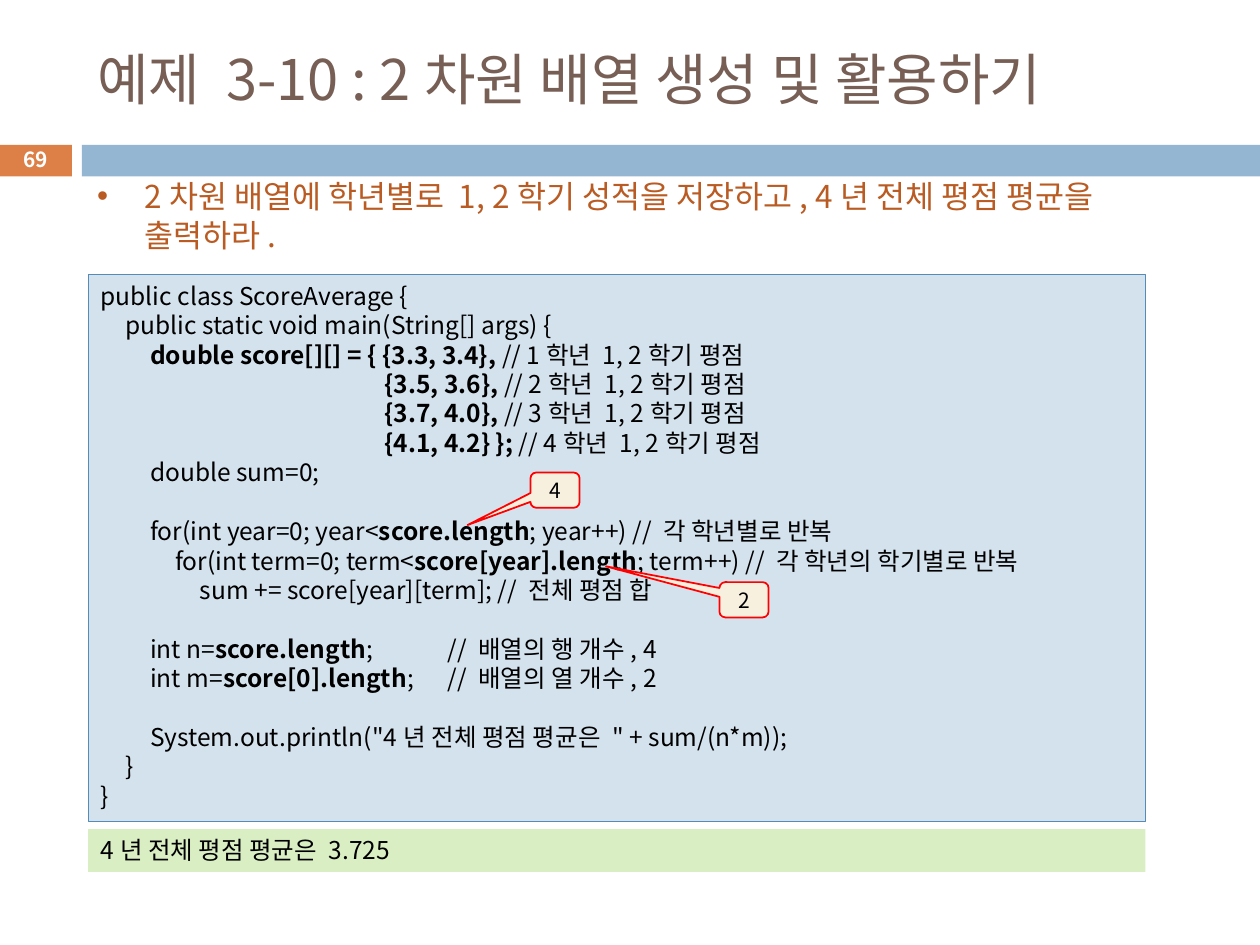
from dataclasses import dataclass

from lxml import etree
from pptx import Presentation
from pptx import util as u
from pptx.dml.color import RGBColor
from pptx.enum import shapes, text
from pptx.oxml.ns import qn


@dataclass(frozen=True)
class Theme:
    font: str = "Noto Sans CJK KR"
    # Colours
    title: str = "775F55"
    task: str = "B95B22"
    ink: str = "000000"
    white: str = "FFFFFF"
    orange: str = "DD8047"
    blue: str = "94B6D2"
    code_fill: str = "D4E2ED"
    code_line: str = "558BB8"
    output_fill: str = "DAEEC4"
    note_fill: str = "F7F0DE"
    note_line: str = "FF0000"
    # Type sizes
    title_size: float = 32
    task_size: float = 18
    code_size: float = 14
    note_size: float = 12
    number_size: float = 11.9


CODE = """\
public class ScoreAverage {
\tpublic static void main(String[] args) {
\t\t**double score[][] = { {3.3, 3.4},** // 1학년 1, 2학기 평점
\t\t\t\t\t\t\t\t\t\t\t  **{3.5, 3.6}, **// 2학년 1, 2학기 평점
\t\t\t\t\t\t\t\t\t\t\t  **{3.7, 4.0}, **// 3학년 1, 2학기 평점
\t\t\t\t\t\t\t\t\t\t\t  **{4.1, 4.2} }; **// 4학년 1, 2학기 평점
\t\tdouble sum=0;

\t\tfor(int year=0; year<**score.length**; year++) // 각 학년별로 반복
\t\t\tfor(int term=0; term<**score[year].length**; term++) // 각 학년의 학기별로 반복
\t\t\t\tsum += score[year][term]; // 전체 평점 합

\t\tint n=**score.length**; \t\t\t// 배열의 행 개수, 4
\t\tint m=**score[0].length**; \t\t// 배열의 열 개수, 2

\t\tSystem.out.println("4년 전체 평점 평균은 " + sum/(n*m));
\t}
}"""
TAB_WIDTH = u.Cm(0.5)
TAB_COUNT = 16


class SlideBuilder:
    def __init__(self, slide, theme):
        self.slide = slide
        self.theme = theme

    def place(self, shape, box):
        shape.left, shape.top, shape.width, shape.height = map(u.Inches, box)

    def style(self, paragraph, size, color, align=text.PP_ALIGN.LEFT, spacing=None):
        paragraph.alignment = align
        paragraph.space_before = u.Pt(0)
        if spacing:
            paragraph.line_spacing = u.Pt(spacing)
        font = paragraph.font
        font.name, font.size = self.theme.font, u.Pt(size)
        font.color.rgb = RGBColor.from_string(color)
        latin = font._element.find(qn("a:latin"))
        east_asian = etree.Element(qn("a:ea"), typeface=self.theme.font)
        latin.addnext(east_asian)

    def label(self, shape, words, size, color, anchor=text.MSO_ANCHOR.TOP, **look):
        frame = shape.text_frame
        frame.word_wrap = True
        frame.auto_size = text.MSO_AUTO_SIZE.NONE
        frame.vertical_anchor = anchor
        frame.text = words
        self.style(frame.paragraphs[0], size, color, **look)

    def placeholder(self, index, box, words, size, color, **look):
        holder = self.slide.placeholders[index]
        self.place(holder, box)
        properties = holder.text_frame.paragraphs[0]._p.get_or_add_pPr()
        properties.set("marL", "0")
        properties.set("indent", "0")
        etree.SubElement(properties, qn("a:buNone"))
        self.label(holder, words, size, color, **look)

    def panel(self, box, fill, line=None, width=0.75, kind=shapes.MSO_SHAPE.RECTANGLE):
        shape = self.slide.shapes.add_shape(kind, *map(u.Inches, box))
        shape.shadow.inherit = False
        shape.fill.solid()
        shape.fill.fore_color.rgb = RGBColor.from_string(fill)
        if line:
            shape.line.color.rgb = RGBColor.from_string(line)
            shape.line.width = u.Pt(width)
        else:
            shape.line.fill.background()
        return shape

    def code(self, box, source):
        """Code panel; text between ** marks is bold."""
        theme = self.theme
        frame = self.panel(box, theme.code_fill, theme.code_line).text_frame
        frame.word_wrap = True
        frame.vertical_anchor = text.MSO_ANCHOR.TOP
        for number, line in enumerate(source.split("\n")):
            paragraph = frame.add_paragraph() if number else frame.paragraphs[0]
            stops = etree.SubElement(paragraph._p.get_or_add_pPr(), qn("a:tabLst"))
            for stop in range(1, TAB_COUNT + 1):
                etree.SubElement(stops, qn("a:tab"), pos=str(stop * TAB_WIDTH), algn="l")
            self.style(paragraph, theme.code_size, theme.ink, spacing=16.8)
            for part, words in enumerate(line.split("**")):
                if words:
                    run = paragraph.add_run()
                    run.text = words
                    if part % 2:
                        run.font.bold = True

    def callout(self, left, top, words, tip):
        theme = self.theme
        note = self.panel((left, top, 0.39, 0.28), theme.note_fill, theme.note_line, 1,
                          shapes.MSO_SHAPE.ROUNDED_RECTANGULAR_CALLOUT)
        note.adjustments[0], note.adjustments[1] = tip
        self.label(note, words, theme.note_size, theme.ink,
                   text.MSO_ANCHOR.MIDDLE, align=text.PP_ALIGN.CENTER)

    def slide_number(self, box, words):
        number = self.slide.shapes.add_textbox(*map(u.Inches, box))
        self.label(number, words, self.theme.number_size, self.theme.white,
                   text.MSO_ANCHOR.MIDDLE, align=text.PP_ALIGN.CENTER)
        number.text_frame.paragraphs[0].font.bold = True


def main():
    deck = Presentation()
    deck.slide_width, deck.slide_height = u.Inches(10), u.Inches(7.5)
    theme = Theme()
    page = SlideBuilder(deck.slides.add_slide(deck.slide_layouts[1]), theme)

    # Header band
    page.panel((-0.01, 1.15, 0.58, 0.25), theme.orange)
    page.panel((0.65, 1.15, 9.35, 0.25), theme.blue)
    page.slide_number((-0.01, 1.13, 0.58, 0.27), "69")

    # Title and task
    page.placeholder(0, (0.67, 0.25, 8.92, 0.74), "예제 3-10 : 2차원 배열 생성 및 활용하기",
                     theme.title_size, theme.title, anchor=text.MSO_ANCHOR.MIDDLE)
    page.placeholder(1, (0.67, 1.35, 8.55, 0.71),
                     "2차원 배열에 학년별로 1, 2학기 성적을 저장하고, 4년 전체 평점 평균을 출력하라.",
                     theme.task_size, theme.task, spacing=22)

    # Program and its output
    page.code((0.7, 2.18, 8.39, 4.34), CODE)
    output = page.panel((0.7, 6.58, 8.39, 0.34), theme.output_fill)
    page.label(output, "4년 전체 평점 평균은 3.725", theme.code_size, theme.ink, spacing=16.8)

    # Array lengths
    page.callout(4.21, 3.75, "4", (-1.78, 0.99))
    page.callout(5.71, 4.62, "2", (-2.81, -0.95))

    deck.save("out.pptx")


if __name__ == "__main__":
    main()
